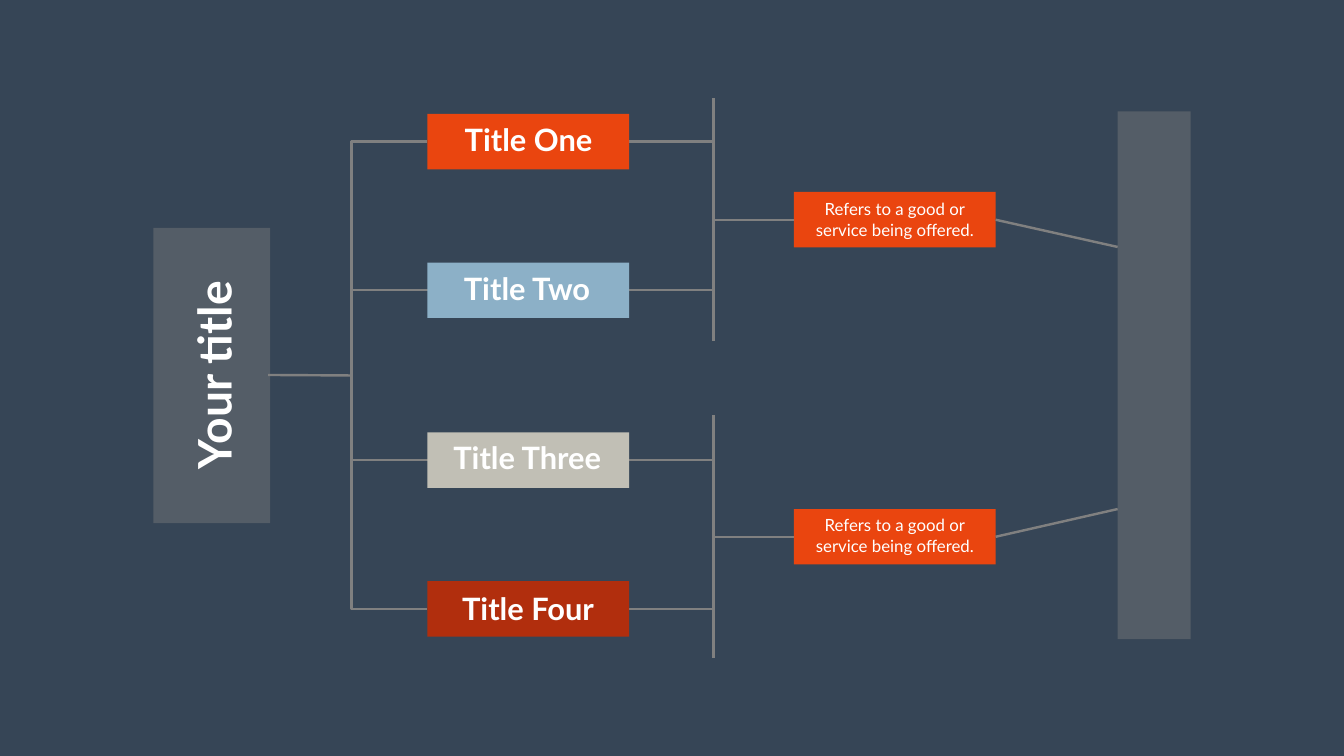
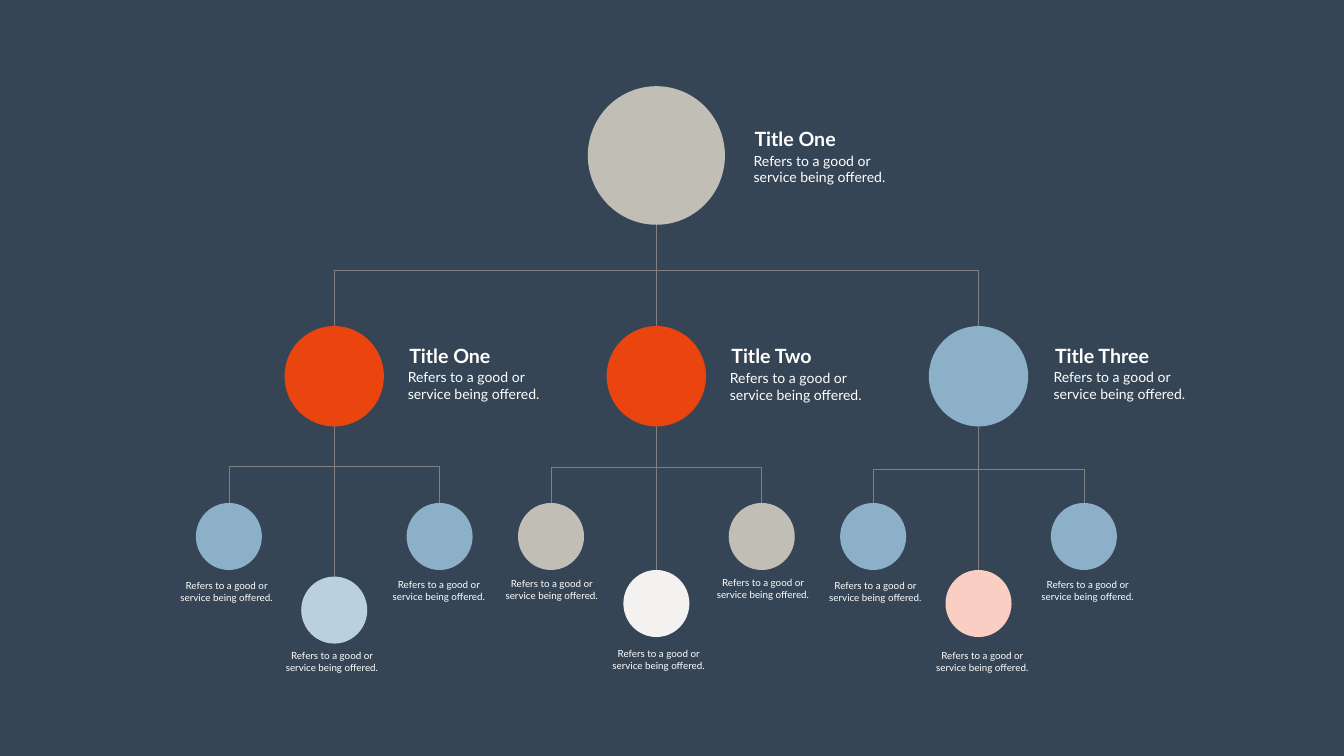
import pptx
import pptx.util
import pptx.dml.color
import pptx.enum.shapes
import pptx.enum.text
import pptx.oxml
import pptx.oxml.ns

Inches = pptx.util.Inches
Pt = pptx.util.Pt
SHAPE = pptx.enum.shapes.MSO_SHAPE
ALIGN = pptx.enum.text.PP_ALIGN

COLORS = {
    "background": "364556",
    "gray": "808080",
    "white": "FFFFFF",
    "orange": "EA450F",
    "blue": "8CB0C7",
    "stone": "C1BFB5",
    "rust": "B12E0D",
    "pale_blue": "BAD0DD",
    "off_white": "F3F2F0",
    "pink": "FBCEC3",
}
LINES = ["Refers to a good or", "service being offered."]
BODY = " ".join(LINES)


def rgb(name):
    return pptx.dml.color.RGBColor.from_string(COLORS[name])


class Deck:
    font = "Lato"

    def __init__(self, width, height):
        self.prs = pptx.Presentation()
        self.prs.slide_width = Inches(width)
        self.prs.slide_height = Inches(height)

    def add_slide(self, line_width):
        self.s = self.prs.slides.add_slide(self.prs.slide_layouts[6])
        self.line_width = line_width
        fill = self.s.background.fill
        fill.solid()
        fill.fore_color.rgb = rgb("background")

    def style_line(self, sp):
        sp.line.color.rgb = rgb("gray")
        sp.line.width = Pt(self.line_width)

    def line(self, x1, y1, x2, y2):
        sp = self.s.shapes.add_connector(
            pptx.enum.shapes.MSO_CONNECTOR.STRAIGHT,
            Inches(x1), Inches(y1), Inches(x2), Inches(y2))
        self.style_line(sp)
        sp._element.spPr.append(pptx.oxml.parse_xml(
            '<a:effectLst %s/>' % pptx.oxml.ns.nsdecls("a")))

    def bracket(self, *points):
        points = [(Inches(x), Inches(y)) for x, y in points]
        builder = self.s.shapes.build_freeform(*points[0])
        builder.add_line_segments(points[1:], close=False)
        sp = builder.convert_to_shape()
        sp.fill.background()
        sp.shadow.inherit = False
        self.style_line(sp)

    def shape(self, kind, x, y, w, h, color, alpha=None):
        sp = self.s.shapes.add_shape(kind, Inches(x), Inches(y), Inches(w), Inches(h))
        sp.shadow.inherit = False
        sp.fill.solid()
        sp.fill.fore_color.rgb = rgb(color)
        sp.line.fill.background()
        if alpha:
            clr = sp._element.spPr.find(".//" + pptx.oxml.ns.qn("a:srgbClr"))
            clr.append(pptx.oxml.parse_xml(
                '<a:alpha %s val="%d"/>' % (pptx.oxml.ns.nsdecls("a"), alpha * 1000)))

    def box(self, x, y, w, h, color, alpha=None):
        self.shape(SHAPE.RECTANGLE, x, y, w, h, color, alpha)

    def circle(self, cx, top, w, h, color):
        self.shape(SHAPE.OVAL, cx - w / 2, top, w, h, color)

    def text(self, x, y, w, h, paragraphs, size, bold=False, align=ALIGN.LEFT,
             wrap=True, rotation=0):
        sp = self.s.shapes.add_textbox(Inches(x), Inches(y), Inches(w), Inches(h))
        sp.rotation = rotation
        tf = sp.text_frame
        tf.word_wrap = wrap
        tf.auto_size = pptx.enum.text.MSO_AUTO_SIZE.SHAPE_TO_FIT_TEXT
        for i, content in enumerate(paragraphs):
            p = tf.add_paragraph() if i else tf.paragraphs[0]
            p.alignment = align
            r = p.add_run()
            r.text = content
            for name, value in {"name": self.font, "size": Pt(size), "bold": bold}.items():
                setattr(r.font, name, value)
            r.font.color.rgb = rgb("white")


def bracket_slide(deck):
    deck.add_slide(3.46)
    titles = [
        ("Title One", 2.26, "orange", 9.1, 2.35, 2.77),
        ("Title Two", 5.21, "blue", 9.05, 5.3, 2.81),
        ("Title Three", 8.58, "stone", 8.86, 8.65, 3.2),
        ("Title Four", 11.53, "rust", 9.04, 11.66, 2.87),
    ]
    notes = [(3.81, 3.9, 1.95, 4.9), (10.1, 10.17, 8.23, 10.1)]
    stem, box_left, box_w, box_h, joint, note_left, bar = 6.97, 8.48, 4, 1.1, 14.15, 15.75, 22.17

    deck.line(5.32, 7.44, stem, 7.45)
    deck.bracket((box_left, 12.08), (stem, 12.08), (stem, 2.81), (box_left, 2.81))
    for start, y in [(stem, 5.75), (12.48, 2.81), (12.48, 12.08), (stem, 9.13)]:
        deck.line(start, y, joint, y)
    deck.box(3.04, 4.52, 2.32, 5.86, "gray", 41)
    deck.box(bar, 2.21, 1.45, 10.47, "gray", 41)
    for _, top, color, *_ in titles:
        deck.box(box_left, top, box_w, box_h, color)
    for top, text_top, joint_top, bar_y in notes:
        middle = top + box_h / 2
        deck.box(note_left, top, box_w, box_h, "orange")
        deck.line(joint, joint_top, joint, joint_top + 4.82)
        deck.line(joint, middle, note_left, middle)
        deck.line(note_left + box_w, middle, bar, bar_y)
        deck.text(15.99, text_top, 3.52, 0.91, LINES, 24, align=ALIGN.CENTER)
    deck.text(2.18, 6.84, 4.11, 1.21, ["Your title"], 66, True, ALIGN.CENTER, False, 270)
    for title, _, _, x, y, w in titles:
        deck.text(x, y, w, 0.84, [title], 44, True, ALIGN.CENTER, False)


def tree_slide(deck):
    deck.add_slide(0.88)
    root, spread, leaf_gap = 13.02, 6.39, 2.09
    branches = [
        ("Title One", "orange", 8.02, 7.27, 1.83, 9.25, 11.44,
         [("blue", 3.31, 11.46), ("pale_blue", 5.4, 12.85), ("blue", 7.52, 11.44)]),
        ("Title Two", "orange", 14.41, 7.28, 1.86, 9.28, 11.31,
         [("stone", 9.76, 11.42), ("off_white", 11.88, 12.81), ("stone", 13.95, 11.4)]),
        ("Title Three", "blue", 20.83, 7.27, 2.11, 9.32, 11.31,
         [("blue", 16.18, 11.46), ("pink", 18.3, 12.85), ("blue", 20.39, 11.43)]),
    ]
    centers = [root + spread * (i - 1) for i in range(len(branches))]

    deck.line(root, 4.16, root, 6.47)
    deck.bracket((centers[0], 6.48), (centers[0], 5.37), (centers[2], 5.37), (centers[2], 6.48))
    for cx, (_, _, _, _, _, rail, _, _) in zip(centers, branches):
        left, right = cx - leaf_gap, cx + leaf_gap
        deck.line(cx, rail - 0.91, cx, 11.44)
        deck.bracket((left, rail + 0.83), (left, rail), (right, rail), (right, rail + 0.83))

    deck.circle(root, 1.71, 2.72, 2.75, "stone")
    deck.text(14.87, 2.46, 1.83, 0.57, ["Title One"], 28, True, wrap=False)
    deck.text(14.85, 2.97, 2.92, 0.77, [BODY], 20)
    for cx, (title, color, x, body_y, w, _, low_top, leaves) in zip(centers, branches):
        deck.circle(cx, 6.47, 1.97, 1.99, color)
        deck.text(x, 6.77, w, 0.57, [title], 28, True, wrap=False)
        deck.text(x - 0.03, body_y, 2.92, 0.77, [BODY], 20)
        for i, (leaf_color, text_x, text_y) in enumerate(leaves):
            top = low_top if i == 1 else 9.98
            deck.circle(cx + leaf_gap * (i - 1), top, 1.31, 1.33, leaf_color)
            deck.text(text_x, text_y, 2.37, 0.57, [BODY], 14, align=ALIGN.CENTER)


def main():
    deck = Deck(26.66, 15)
    bracket_slide(deck)
    tree_slide(deck)
    deck.prs.save("out.pptx")


if __name__ == "__main__":
    main()
